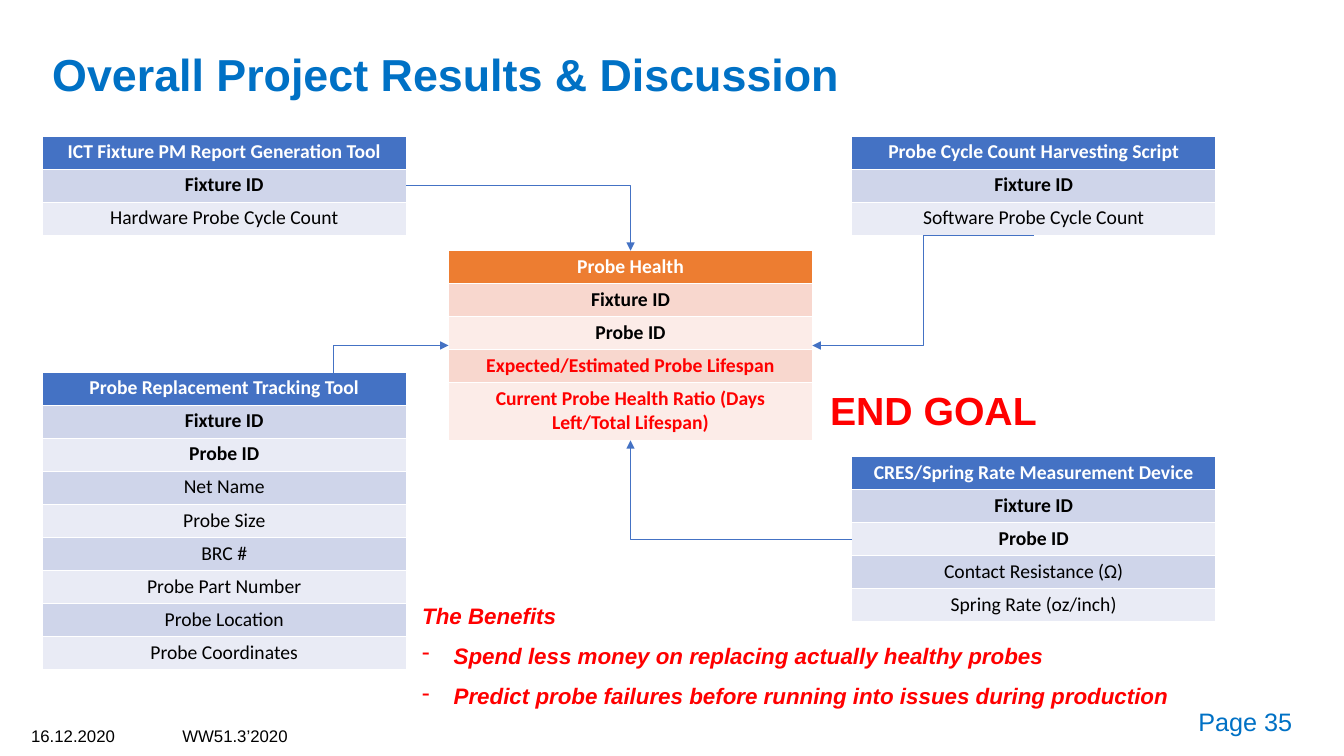
"""Builds the project results slide: four data sources feeding a probe health table."""
from lxml import etree
from pptx import Presentation
from pptx.dml.color import RGBColor
from pptx.enum import shapes, text
from pptx.oxml import ns
from pptx.util import Pt

BLACK = RGBColor(0x00, 0x00, 0x00)
WHITE = RGBColor(0xFF, 0xFF, 0xFF)
RED = RGBColor(0xFF, 0x00, 0x00)
TITLE_BLUE = RGBColor(0x00, 0x71, 0xC5)
BLUE = RGBColor(0x44, 0x72, 0xC4)
BLUE_BANDS = (BLUE, RGBColor(0xCF, 0xD5, 0xEA), RGBColor(0xE9, 0xEB, 0xF5))
ORANGE_BANDS = (RGBColor(0xED, 0x7D, 0x31), RGBColor(0xF8, 0xD7, 0xCE), RGBColor(0xFC, 0xEC, 0xE8))

LEFT, CENTER, RIGHT = 30.2, 320.4, 608.4
TABLE_WIDTH, ROW_HEIGHT, TALL_ROW_HEIGHT = 260, 23.6, 41
KEYS = ("Fixture ID", "Probe ID")
GOALS = ("Expected/Estimated Probe Lifespan", "Current Probe Health Ratio (Days Left/Total Lifespan)")

TABLES = [
    (LEFT, 97.2, BLUE_BANDS, ["ICT Fixture PM Report Generation Tool", "Fixture ID", "Hardware Probe Cycle Count"]),
    (RIGHT, 97.2, BLUE_BANDS, ["Probe Cycle Count Harvesting Script", "Fixture ID", "Software Probe Cycle Count"]),
    (LEFT, 265.9, BLUE_BANDS, [
        "Probe Replacement Tracking Tool", *KEYS, "Net Name", "Probe Size", "BRC #",
        "Probe Part Number", "Probe Location", "Probe Coordinates"]),
    (RIGHT, 326.3, BLUE_BANDS, [
        "CRES/Spring Rate Measurement Device", *KEYS, "Contact Resistance (Ω)", "Spring Rate (oz/inch)"]),
    (CENTER, 179.1, ORANGE_BANDS, ["Probe Health", *KEYS, *GOALS]),
]

HEALTH_MIDDLE = CENTER + TABLE_WIDTH / 2
ARROWS = [
    ("bentConnector2", (LEFT + TABLE_WIDTH, 132.6), (HEALTH_MIDDLE, 179.1)),
    ("bentConnector3", (155.5, 270), (CENTER, 246.8)),
    ("bentConnector3", (RIGHT + TABLE_WIDTH / 2, 168), (CENTER + TABLE_WIDTH, 246.8)),
    ("bentConnector2", (RIGHT, 385.3), (HEALTH_MIDDLE, 314.6)),
]

TITLE = "Overall Project Results & Discussion"
PAGE = "Page 35"
DATES = "16.12.2020\t\tWW51.3’2020"
END_GOAL = "END GOAL"
BENEFITS = [
    ("The Benefits", False),
    ("Spend less money on replacing actually healthy probes", True),
    ("Predict probe failures before running into issues during production", True),
]


def add_run(paragraph, words, size, color, font="Arial", bold=False, italic=False):
    run = paragraph.add_run()
    run.text = words
    run.font.name, run.font.size = font, Pt(size)
    run.font.bold, run.font.italic = bold, italic
    run.font.color.rgb = color


def add_text(slide, box, lines, size, color, align="LEFT", spacing=None, wrap=True, grow=True, **style):
    frame = slide.shapes.add_textbox(*map(Pt, box)).text_frame
    frame.word_wrap = wrap
    if grow:
        frame.auto_size = text.MSO_AUTO_SIZE.SHAPE_TO_FIT_TEXT
    else:
        frame.vertical_anchor = text.MSO_ANCHOR.MIDDLE
    for index, (words, bulleted) in enumerate(lines):
        paragraph = frame.add_paragraph() if index else frame.paragraphs[0]
        paragraph.alignment = text.PP_ALIGN[align]
        if spacing:
            paragraph.line_spacing = spacing
        if bulleted:
            properties = paragraph._p.get_or_add_pPr()
            properties.set("marL", str(Pt(22.5)))
            properties.set("indent", str(-Pt(22.5)))
            etree.SubElement(properties, ns.qn("a:buFontTx"))
            etree.SubElement(properties, ns.qn("a:buChar"), char="-")
        add_run(paragraph, words, size, color, **style)


def add_table(slide, left, top, bands, rows):
    heights = [TALL_ROW_HEIGHT if words == GOALS[-1] else ROW_HEIGHT for words in rows]
    table = slide.shapes.add_table(
        len(rows), 1, Pt(left), Pt(top), Pt(TABLE_WIDTH), Pt(sum(heights))).table
    for index, (words, height) in enumerate(zip(rows, heights)):
        table.rows[index].height = Pt(height)
        cell = table.cell(index, 0)
        cell.margin_left = cell.margin_right = Pt(5.8)
        cell.margin_top = cell.margin_bottom = Pt(2.9)
        cell.fill.solid()
        cell.fill.fore_color.rgb = bands[0] if index == 0 else bands[2 - index % 2]
        color = WHITE if index == 0 else RED if words in GOALS else BLACK
        paragraph = cell.text_frame.paragraphs[0]
        paragraph.alignment = text.PP_ALIGN.CENTER
        add_run(paragraph, words, 14, color, "Calibri", bold=index == 0 or words in KEYS + GOALS)


def add_arrow(slide, preset, start, end):
    connector = slide.shapes.add_connector(shapes.MSO_CONNECTOR.ELBOW, *map(Pt, start + end))
    connector.line.color.rgb = BLUE
    connector.line.width = Pt(0.5)
    properties = connector._element.spPr
    properties.find(ns.qn("a:prstGeom")).set("prst", preset)
    etree.SubElement(properties.find(ns.qn("a:ln")), ns.qn("a:tailEnd"), type="triangle")
    etree.SubElement(properties, ns.qn("a:effectLst"))


def main():
    presentation = Presentation()
    presentation.slide_width, presentation.slide_height = Pt(960), Pt(540)
    slide = presentation.slides.add_slide(presentation.slide_layouts[6])
    add_text(slide, (30.2, 30.2, 581, 46.1), [(TITLE, False)], 32, TITLE_BLUE, wrap=False, bold=True)
    add_text(slide, (714.2, 501.1, 216, 28.8), [(PAGE, False)], 18, TITLE_BLUE, "RIGHT", grow=False)
    add_text(slide, (15.1, 511.2, 274.3, 28.8), [(DATES, False)], 12, BLACK, grow=False)
    for table in TABLES:
        add_table(slide, *table)
    add_text(slide, (571.7, 255.6, 190, 51.8), [(END_GOAL, False)], 28, RED, "CENTER", 1.5, bold=True)
    for arrow in ARROWS:
        add_arrow(slide, *arrow)
    add_text(slide, (294.5, 416.9, 554.4, 120.2), BENEFITS, 16, RED,
             spacing=1.5, wrap=False, bold=True, italic=True)
    presentation.save("out.pptx")


if __name__ == "__main__":
    main()
